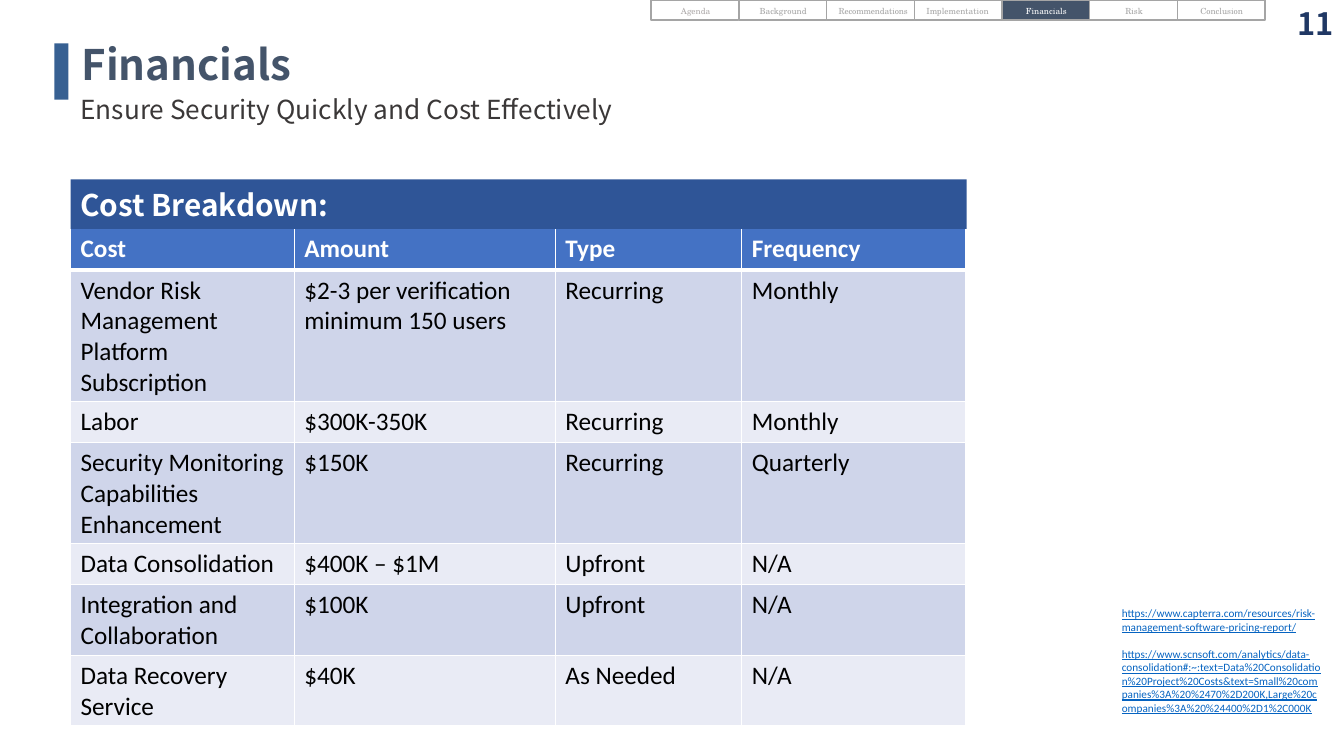
from dataclasses import dataclass, field

from lxml.etree import SubElement
from pptx import Presentation
from pptx.dml.color import RGBColor
from pptx.enum.shapes import MSO_SHAPE
from pptx.enum.text import MSO_ANCHOR, MSO_AUTO_SIZE, PP_ALIGN
from pptx.oxml.ns import qn
from pptx.util import Inches, Pt

CELL = 0.1  # one grid column or row, in inches
COLS, ROWS = 133.33, 75


@dataclass(frozen=True)
class Theme:
    sans: str = "Noto Sans CJK KR"
    body: str = "Calibri"
    serif: str = "TeX Gyre Schola"
    white: str = "FFFFFF"
    black: str = "000000"
    slate: str = "44546A"
    bar: str = "376092"
    dark: str = "3B3838"
    navy: str = "203864"
    band: str = "2F5597"
    head: str = "4472C4"
    odd: str = "CFD5EA"
    even: str = "E9EBF5"
    edge: str = "A5A5A5"
    mute: str = "A6A6A6"
    pale: str = "AFABAB"
    link: str = "0563C1"
    title: float = 30
    page: float = 22
    strip: float = 21.3
    sub: float = 18.7
    cell: float = 18
    note: float = 8
    tab: float = 6


T = Theme()


@dataclass
class Type:
    name: str
    size: float
    color: str
    more: dict = field(default_factory=dict)


@dataclass
class Box:
    col: float
    row: float
    wide: float
    high: float
    fill: str | None = None
    line: str | None = None


@dataclass
class Tab:
    text: str
    wide: float
    color: str = T.mute
    fill: str | None = None
    align: PP_ALIGN = PP_ALIGN.CENTER
    shift: float = 0
    track: int = 0


def grid(n: float) -> int:
    return Inches(n * CELL)


def place(box: Box) -> list[int]:
    return [grid(n) for n in (box.col, box.row, box.wide, box.high)]


def style(font, kind: Type) -> None:
    form = {"name": kind.name, "size": Pt(kind.size), **kind.more}
    for key, val in form.items():
        setattr(font, key, val)
    font.color.rgb = RGBColor.from_string(kind.color)


def draw(slide, box: Box):
    shape = slide.shapes.add_shape(MSO_SHAPE.RECTANGLE, *place(box))
    shape.shadow.inherit = False
    if box.fill:
        shape.fill.solid()
        shape.fill.fore_color.rgb = RGBColor.from_string(box.fill)
    else:
        shape.fill.background()
    if box.line:
        shape.line.color.rgb = RGBColor.from_string(box.line)
        shape.line.width = Pt(1)
    else:
        shape.line.fill.background()
    return shape


def write(slide, box: Box, texts: list[str], kind: Type,
          align: PP_ALIGN = PP_ALIGN.LEFT, gap: float = 0, **form):
    shape = draw(slide, box) if box.fill else slide.shapes.add_textbox(*place(box))
    frame = shape.text_frame
    form = {"word_wrap": True, "auto_size": MSO_AUTO_SIZE.SHAPE_TO_FIT_TEXT,
            "vertical_anchor": MSO_ANCHOR.TOP, **form}
    for key, val in form.items():
        setattr(frame, key, val)
    for i, text in enumerate(texts):
        para = frame.add_paragraph() if i else frame.paragraphs[0]
        para.alignment = align
        if i:
            para.space_before = Pt(gap)
        run = para.add_run()
        run.text = text
        style(run.font, kind)
    return frame


def border(cell, sides: dict[str, float]) -> None:
    props = cell._tc.get_or_add_tcPr()
    for side, width in sides.items():
        line = SubElement(props, qn(f"a:ln{side}"), w=str(Pt(width)))
        fill = SubElement(line, qn("a:solidFill"))
        SubElement(fill, qn("a:srgbClr"), val=T.white)


def menu(slide, tabs: list[Tab]) -> None:
    left, wide, high = 64.6, 8.7, 2
    for i, tab in enumerate(tabs):
        col = left + i * wide
        draw(slide, Box(col, 0, wide, high, tab.fill, T.edge))
        label = Box(col + (wide - tab.wide) / 2 + tab.shift, 0.4, tab.wide, 1.1,
                    tab.fill)
        frame = write(slide, label, [tab.text], Type(T.serif, T.tab, tab.color),
                      tab.align, margin_left=0, margin_right=0,
                      margin_top=Inches(0.02), margin_bottom=0)
        para = frame.paragraphs[0]
        para._p.get_or_add_pPr().set("marL", str(Inches(0.01)))
        if tab.track:
            para.runs[0].font._element.set("spc", str(tab.track))


def costs(slide, box: Box, wides: list[float], data: list[list[str]]) -> None:
    frame = slide.shapes.add_table(len(data), len(wides), *place(box))
    table = frame.table
    for col, wide in zip(table.columns, wides):
        col.width = grid(wide)
    for r, texts in enumerate(data):
        table.rows[r].height = grid(4.1)
        fill = T.head if r == 0 else T.odd if r % 2 else T.even
        kind = Type(T.body, T.cell, T.black if r else T.white, {"bold": r == 0})
        sides = {"L": 1, "R": 1, "T": 3 if r == 1 else 1, "B": 1 if r else 3}
        for c, text in enumerate(texts):
            cell = table.cell(r, c)
            border(cell, sides)
            cell.fill.solid()
            cell.fill.fore_color.rgb = RGBColor.from_string(fill)
            run = cell.text_frame.paragraphs[0].add_run()
            run.text = text
            style(run.font, kind)
    frame.height = grid(box.high)


TABS = [
    Tab("Agenda", 5.2, T.pale, T.white),
    Tab("Background", 6.3),
    Tab("Recommendations", 7, align=PP_ALIGN.LEFT, shift=0.25, track=-10),
    Tab("Implementation", 6.5, align=PP_ALIGN.LEFT),
    Tab("Financials", 5.2, T.white, T.slate),
    Tab("Risk", 5.2),
    Tab("Conclusion", 6.3),
]
COSTS = [
    ["Cost", "Amount", "Type", "Frequency"],
    ["Vendor Risk Management Platform Subscription",
     "$2-3 per verification minimum 150 users", "Recurring", "Monthly"],
    ["Labor", "$300K-350K", "Recurring", "Monthly"],
    ["Security Monitoring Capabilities Enhancement", "$150K", "Recurring", "Quarterly"],
    ["Data Consolidation", "$400K – $1M", "Upfront", "N/A"],
    ["Integration and Collaboration", "$100K", "Upfront", "N/A"],
    ["Data Recovery Service", "$40K", "As Needed", "N/A"],
]
LINKS = [
    "https://www.capterra.com/resources/risk-management-software-pricing-report/",
    "https://www.scnsoft.com/analytics/data-consolidation#:~:text=Data%20Consolidation"
    "%20Project%20Costs&text=Small%20companies%3A%20%2470%2D200K,Large%20companies"
    "%3A%20%24400%2D1%2C000K",
]


def main() -> None:
    deck = Presentation()
    deck.slide_width, deck.slide_height = grid(COLS), grid(ROWS)
    slide = deck.slides.add_slide(deck.slide_layouts[6])

    # Heading and page number
    bold = {"bold": True}
    write(slide, Box(7.1, 3.3, 99.1, 6.1), ["Financials"],
          Type(T.sans, T.title, T.slate, bold))
    draw(slide, Box(5.4, 4.3, 1.4, 5.6, T.bar))
    write(slide, Box(7, 8.8, 121.9, 4.2),
          ["Ensure Security Quickly and Cost Effectively"], Type(T.sans, T.sub, T.dark))
    write(slide, Box(126.3, 0, 7, 4.7), ["11"],
          Type(T.sans, T.page, T.navy, bold), PP_ALIGN.RIGHT)

    # Section tabs
    menu(slide, TABS)

    # Cost table under its strip
    costs(slide, Box(7, 22.7, 88.9, 49.2), [22.2, 25.9, 18.5, 22.2], COSTS)
    write(slide, Box(7, 17.8, 88.9, 4.9, T.band), ["Cost Breakdown:"],
          Type(T.sans, T.strip, T.white, bold), auto_size=MSO_AUTO_SIZE.NONE,
          vertical_anchor=MSO_ANCHOR.MIDDLE)

    # Sources
    write(slide, Box(110.3, 59.7, 21.8, 13.1), LINKS,
          Type(T.body, T.note, T.link, {"underline": True}), gap=9.8)

    deck.save("out.pptx")


if __name__ == "__main__":
    main()
